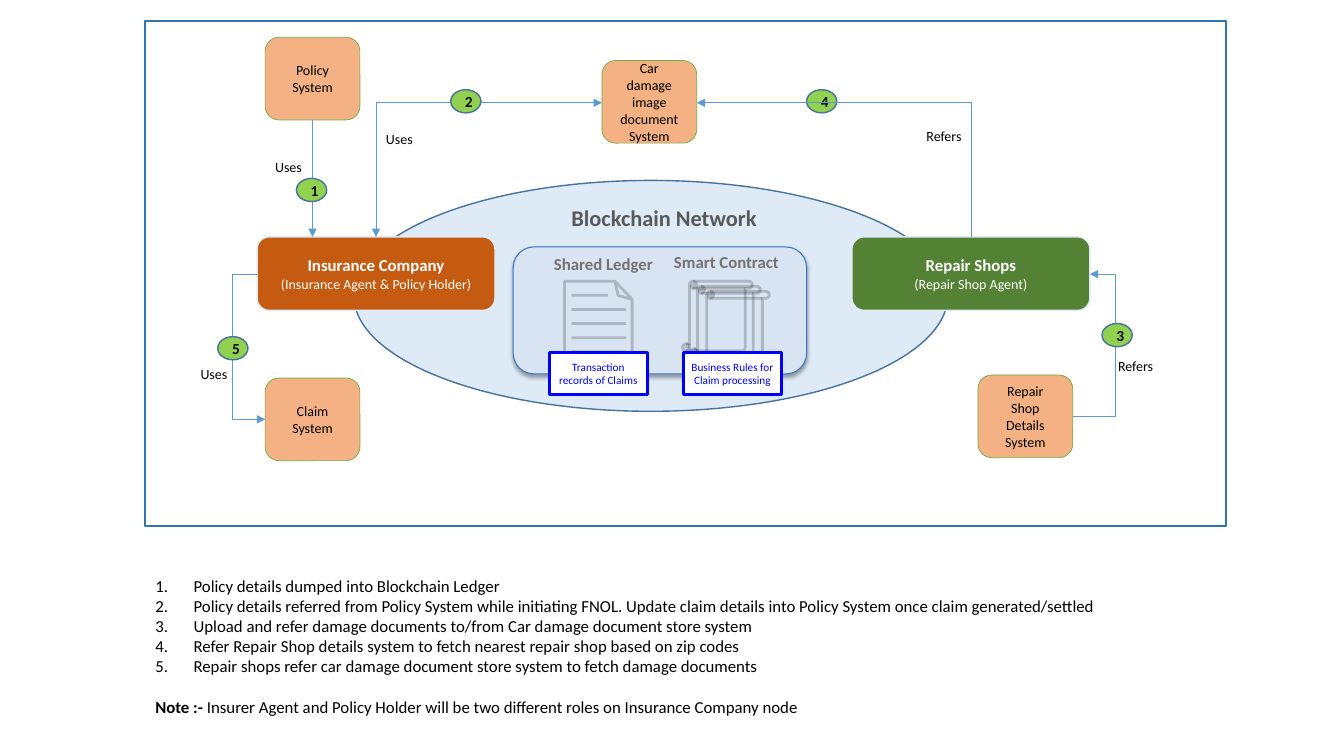
from math import cos, radians, sin

from pptx import Presentation
from pptx.dml.color import RGBColor
from pptx.enum.shapes import MSO_CONNECTOR, MSO_SHAPE
from pptx.enum.text import MSO_ANCHOR, MSO_AUTO_SIZE, PP_ALIGN
from pptx.oxml.ns import qn
from pptx.util import Inches, Pt
from lxml import etree

OVAL, ROUND, RECT = MSO_SHAPE.OVAL, MSO_SHAPE.ROUNDED_RECTANGLE, MSO_SHAPE.RECTANGLE
STRAIGHT, ELBOW = MSO_CONNECTOR.STRAIGHT, MSO_CONNECTOR.ELBOW
LEFT, CENTER = PP_ALIGN.LEFT, PP_ALIGN.CENTER
TOP, MIDDLE = MSO_ANCHOR.TOP, MSO_ANCHOR.MIDDLE
FONT = "Calibri"
COLORS = {
    "black": "000000", "white": "FFFFFF", "ink": "0D0D0D", "gray": "595959",
    "label": "767171", "pale": "DEEBF7", "panel": "D9E4F2", "edge": "43739E",
    "rim": "3C75BD", "frame": "2E75B6", "link": "5B9BD5", "blue": "0000FF",
    "rust": "C55A11", "green": "548235", "peach": "F4B183", "leaf": "70AD47",
    "lime": "92D050",
}
STEPS = [
    "Policy details dumped into Blockchain Ledger",
    "Policy details referred from Policy System while initiating FNOL. "
    "Update claim details into Policy System once claim generated/settled",
    "Upload and refer damage documents to/from Car damage document store system",
    "Refer Repair Shop details system to fetch nearest repair shop based on zip codes",
    "Repair shops refer car damage document store system to fetch damage documents",
]


def rgb(name):
    return RGBColor.from_string(COLORS[name])


def within(box, x, y, w, h):
    """Box in slide inches, from a place inside another box."""
    return box[0] + x, box[1] + y, w, h


def add(parent, tag, **attrs):
    return etree.SubElement(parent, qn(tag), attrs)


def write(frame, lines, color, align=CENTER, inset=None):
    """Fill a text frame; each line is (text, size, bold)."""
    frame.word_wrap = True
    if inset is not None:
        frame.margin_left = frame.margin_right = Inches(inset)
        frame.margin_top = frame.margin_bottom = Inches(inset)
    for i, (text, size, bold) in enumerate(lines):
        para = frame.add_paragraph() if i else frame.paragraphs[0]
        para.alignment = align
        put(para, text, size, bold, color)


def put(para, text, size, bold, color):
    run = para.add_run()
    run.text = text
    font = run.font
    font.name, font.size, font.bold = FONT, Pt(size), bold
    font.color.rgb = rgb(color)


def shape(slide, kind, box, fill, line, width, lines=(), color="black", inset=None):
    item = slide.shapes.add_shape(kind, *map(Inches, box))
    item.shadow.inherit = False
    if fill:
        item.fill.solid()
        item.fill.fore_color.rgb = rgb(fill)
    else:
        item.fill.background()
    item.line.color.rgb = rgb(line)
    item.line.width = Pt(width)
    item.text_frame.vertical_anchor = MIDDLE
    write(item.text_frame, lines, color, inset=inset)
    return item


def label(slide, box, text, size=10, bold=False, color="black", align=LEFT, inset=None):
    item = slide.shapes.add_textbox(*map(Inches, box))
    write(item.text_frame, [(text, size, bold)], color, align, inset)


def link(slide, kind, start, end, color="link", width=0.5, head=False, tail=False):
    item = slide.shapes.add_connector(kind, *map(Inches, start + end))
    item.line.color.rgb = rgb(color)
    item.line.width = Pt(width)
    props = item.element.spPr
    line = props.find(qn("a:ln"))
    if head:
        add(line, "a:headEnd", type="triangle")
    if tail:
        add(line, "a:tailEnd", type="triangle")
    add(props, "a:effectLst")
    return item


def bend(item, preset, ratio=None):
    """Choose the elbow form and where its middle leg runs."""
    geom = item.element.spPr.find(qn("a:prstGeom"))
    geom.set("prst", preset)
    if ratio is not None:
        guides = geom.find(qn("a:avLst"))
        add(guides, "a:gd", name="adj1", fmla=f"val {round(ratio * 100000)}")


def fade(item):
    tint = item.element.spPr.find(qn("a:ln")).find(".//" + qn("a:srgbClr"))
    add(tint, "a:alpha", val="20000")


def trace(slide, box, paths):
    """Draw faint open outlines, with points relative to the box."""
    paths = [[(Inches(box[0] + x), Inches(box[1] + y)) for x, y in path] for path in paths]
    pen = slide.shapes.build_freeform(*paths[0][0], scale=1.0)
    for i, path in enumerate(paths):
        if i:
            pen.move_to(*path[0])
        pen.add_line_segments(path[1:], close=False)
    item = pen.convert_to_shape()
    item.shadow.inherit = False
    item.fill.background()
    item.line.color.rgb = rgb("black")
    item.line.width = Pt(2)
    fade(item)


def arc(x, y, r, start, stop):
    turns = [radians(start + (stop - start) * i / 8) for i in range(9)]
    return [(x + r * cos(t), y + r * sin(t)) for t in turns]


def scroll(slide, box):
    s, r = box[2], box[2] / 20
    d = 2 * r
    curl = arc(3 * r, r, r, -90, 90) + arc(3 * r, 1.5 * r, r / 2, 90, 270)
    trace(slide, box, [
        [(d, s - d)] + arc(3 * r, r, r, 180, 270) + arc(s - r, r, r, -90, 90)
        + [(s - d, d)] + arc(s - 3 * r, s - r, r, 0, 90)
        + arc(r, s - r, r, 90, 270) + [(d, s - d)],
        curl + [(4 * r, r)],
        [(s - d, d), (3 * r, d)],
        arc(r, s - 1.5 * r, r / 2, -90, 90) + [(d, s - r)],
        arc(r, s - r, r, 90, 0) + [(d, s - d)],
    ])


def paper(slide, box):
    x, y, w, h = box
    trace(slide, box, [[(0.5, 0), (0.53, 0.14), (w, 0.18), (0.5, 0),
                        (0, 0), (0, h), (w, h), (w, 0.18)]])
    for i in range(5):
        level = y + 0.14 * (i + 1)
        end = x + (0.61 if i else 0.43)
        fade(link(slide, STRAIGHT, (x + 0.07, level), (end, level), "black", 2))


def ledger(slide, box):
    panel = shape(slide, ROUND, box, "panel", "rim", 0.75)
    panel.adjustments[0] = 0.163
    effects = panel.element.spPr.find(qn("a:effectLst"))
    cast = add(effects, "a:outerShdw", blurRad=str(Pt(3)), dist=str(Pt(1.8)),
               dir="5400000", algn="t", rotWithShape="0")
    add(add(cast, "a:srgbClr", val=COLORS["black"]), "a:alpha", val="35000")
    paper(slide, within(box, 0.51, 0.34, 0.67, 0.81))
    for x, y in [(1.85, 0.44), (1.76, 0.39), (1.68, 0.34)]:
        scroll(slide, within(box, x, y, 0.69, 0.69))
    for x, text in [(0.36, "Transaction records of Claims"),
                    (1.69, "Business Rules for Claim processing")]:
        shape(slide, RECT, within(box, x, 1.05, 0.97, 0.41), "white", "blue", 2.25,
              [(text, 8, False)], "blue", 0.05)
    for x, y, text in [(0.21, 0.02, "Shared Ledger"), (1.43, 0, "Smart Contract")]:
        label(slide, within(box, x, y, 1.37, 0.3), text, 12, True, "label", CENTER, 0.05)


def network(slide, box):
    shape(slide, OVAL, box, "pale", "edge", 1)
    label(slide, within(box, 2.06, 0.19, 2.1, 0.37), "Blockchain Network", 16, True, "gray")
    ledger(slide, within(box, 1.58, 0.66, 2.91, 1.26))


def flow(slide, box):
    """Frame, parties, systems and the numbered links among them."""
    def spot(x, y):
        return box[0] + x, box[1] + y

    shape(slide, RECT, box, None, "frame", 1.5)
    network(slide, within(box, 2.07, 1.58, 5.89, 2.29))
    for x, fill, name, role in [
            (1.11, "rust", "Insurance Company", "(Insurance Agent & Policy Holder)"),
            (7.01, "green", "Repair Shops", "(Repair Shop Agent)")]:
        shape(slide, ROUND, within(box, x, 2.14, 2.36, 0.73), fill, "pale", 1,
              [(name, 12, True), (role, 10, False)], "white")
    for x, y, name in [(1.19, 3.54, "Claim System"),
                       (8.26, 3.51, "Repair Shop Details System"),
                       (4.53, 0.39, "Car damage image document System"),
                       (1.19, 0.16, "Policy System")]:
        system = shape(slide, ROUND, within(box, x, y, 0.94, 0.82), "peach", "leaf", 0.5,
                       [(name, 10, False)])
    policy = system

    feed = link(slide, STRAIGHT, spot(1.66, 0.98), spot(1.66, 2.14), tail=True)
    feed.begin_connect(policy, 2)
    shops = link(slide, ELBOW, spot(9.2, 3.92), spot(9.37, 2.51), tail=True)
    bend(shops, "bentConnector3", 2.49)
    claim = link(slide, ELBOW, spot(1.11, 2.51), spot(1.19, 3.95), tail=True)
    bend(claim, "bentConnector3", -3.13)
    cars = link(slide, ELBOW, spot(4.53, 0.81), spot(2.29, 2.14), head=True, tail=True)
    bend(cars, "bentConnector2")

    for x, y, text in [(1.19, 1.31, "Uses"), (2.29, 1.04, "Uses"), (0.45, 3.37, "Uses"),
                       (7.65, 1.01, "Refers"), (9.55, 3.29, "Refers")]:
        label(slide, within(box, x, y, 0.62, 0.27), text)
    for i, (x, y) in enumerate([(1.5, 1.56), (3.03, 0.68), (9.49, 3),
                                (6.56, 0.68), (0.72, 3.13)], 1):
        shape(slide, OVAL, within(box, x, y, 0.3, 0.23), "lime", "edge", 1,
              [(str(i), 11, True)], "ink")
    photos = link(slide, ELBOW, spot(5.47, 0.81), spot(8.19, 2.14), head=True)
    bend(photos, "bentConnector2")


def notes(body, box):
    body.left, body.top, body.width, body.height = map(Inches, box)
    frame = body.text_frame
    frame.auto_size = MSO_AUTO_SIZE.NONE
    frame.vertical_anchor = TOP
    write(frame, [(step, 12, False) for step in STEPS], "black", LEFT)
    for para in frame.paragraphs:
        props = para._p.get_or_add_pPr()
        props.set("marL", str(Inches(0.38)))
        props.set("indent", str(-Inches(0.38)))
        add(props, "a:buFont", typeface="+mj-lt")
        add(props, "a:buAutoNum", type="arabicPeriod")
    note = frame.add_paragraph()
    props = note._p.get_or_add_pPr()
    props.set("marL", "0")
    props.set("indent", "0")
    add(props, "a:buNone")
    put(note, "Note :- ", 12, True, "black")
    put(note, "Insurer Agent and Policy Holder will be two different roles "
        "on Insurance Company node", 12, False, "black")
    for para in frame.paragraphs:
        para.line_spacing = 1.0
        para.space_before = para.space_after = Pt(0)
    note.space_before = Pt(14.5)


def main():
    deck = Presentation()
    deck.slide_width, deck.slide_height = Inches(13.33), Inches(7.5)
    slide = deck.slides.add_slide(deck.slide_layouts[1])
    title = slide.shapes.title.element
    title.getparent().remove(title)
    notes(slide.placeholders[1], (1.44, 5.66, 10.72, 1.82))
    flow(slide, (1.44, 0.21, 10.72, 5.01))
    deck.save("out.pptx")


if __name__ == "__main__":
    main()
